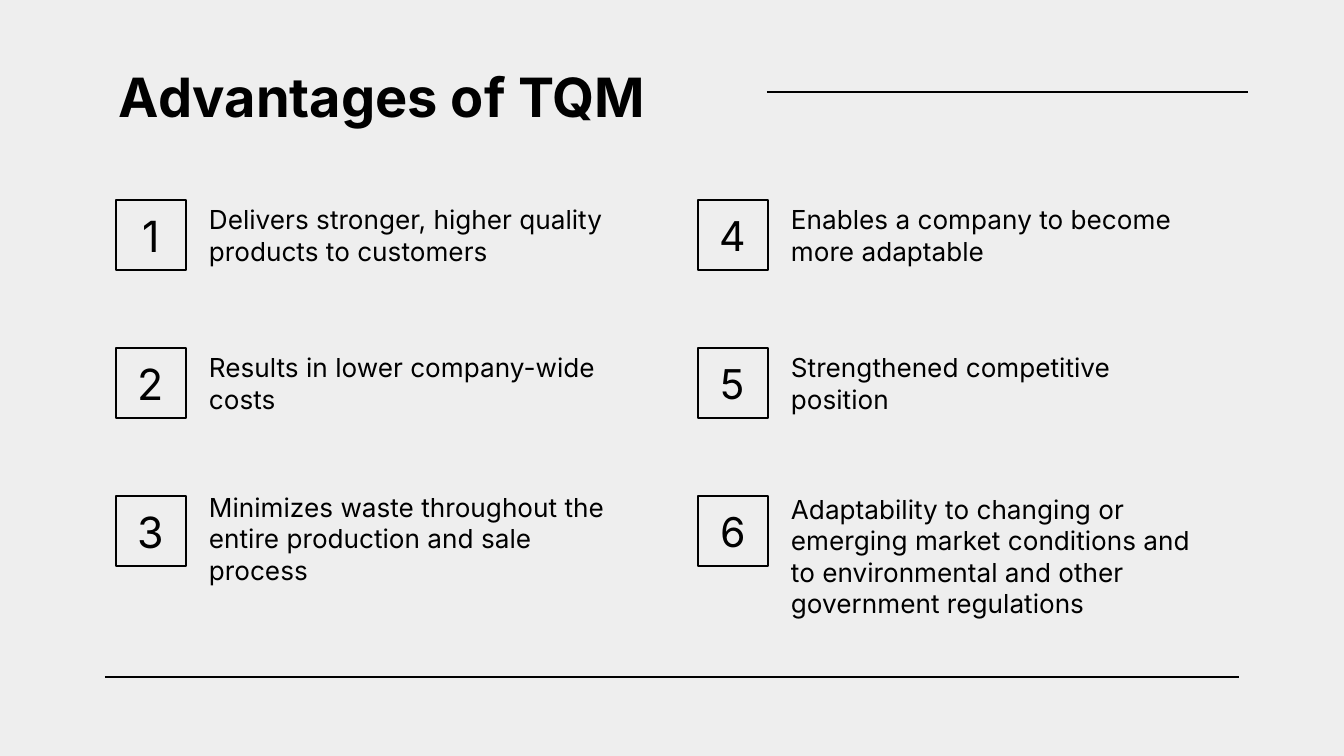
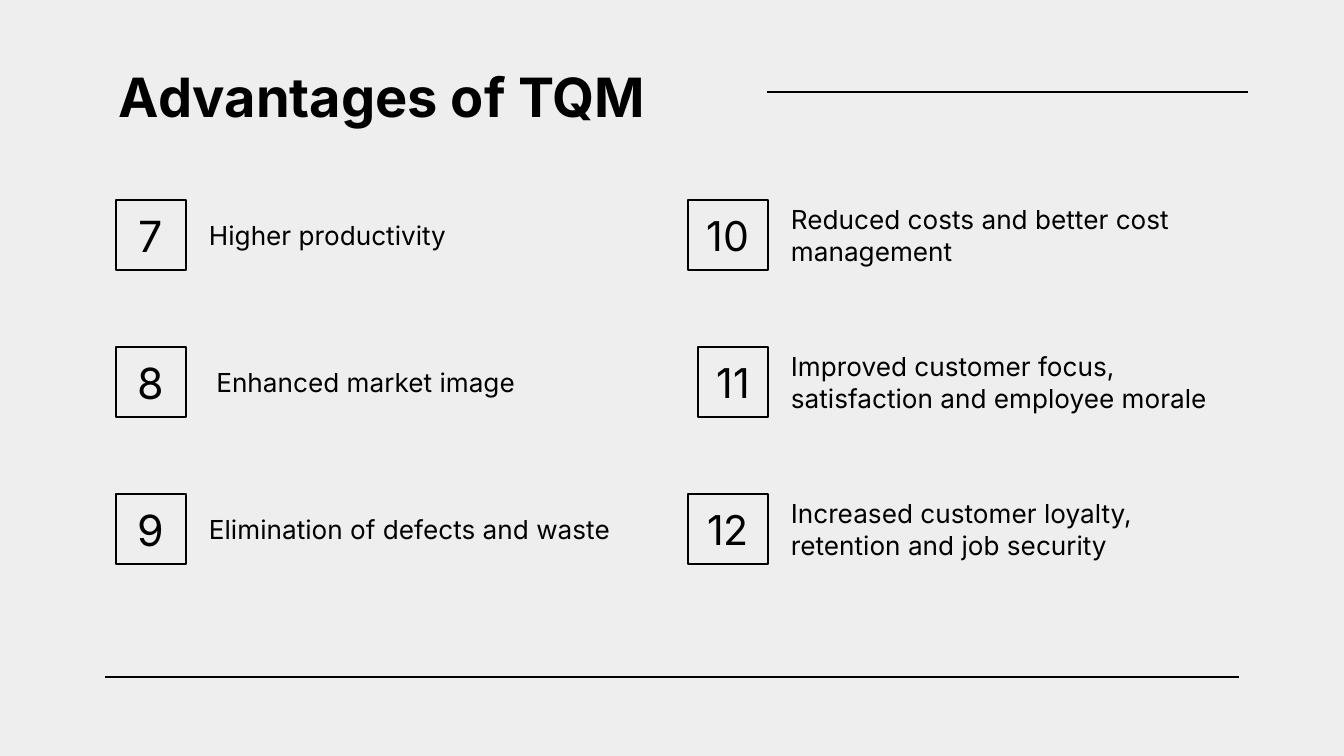
from lxml import etree
from pptx import Presentation
from pptx import util as u
from pptx.dml.color import RGBColor
from pptx.enum import shapes, text
from pptx.oxml.ns import qn

# Content: one tuple per slide of (row step, left column, right column)
TITLE = "Advantages of TQM"
SLIDES = [
    (148,
     [("1", "Delivers stronger, higher quality products to customers"),
      ("2", "Results in lower company-wide costs"),
      ("3", "Minimizes waste throughout the entire production and sale process")],
     [("4", "Enables a company to become more adaptable"),
      ("5", "Strengthened competitive position"),
      ("6", "Adaptability to changing or emerging market conditions and to "
            "environmental and other government regulations")]),
    (147,
     [("7", "Higher productivity"),
      ("8", " Enhanced market image"),
      ("9", "Elimination of defects and waste")],
     [("10", "Reduced costs and better cost management"),
      ("11", "Improved customer focus, satisfaction and employee morale"),
      ("12", "Increased customer loyalty, retention and job security")]),
]

# Shared style
BLACK = RGBColor(0x00, 0x00, 0x00)
PAPER = RGBColor(0xEE, 0xEE, 0xEE)
FONT = "Inter"
LINE_WIDTH = u.Pt(0.75)

# Grid, in px
SLIDE_W, SLIDE_H = 1344, 756
TOP, BOX, INSET = 200, 70, 13
COLUMNS = [(186, 23), (768, 22)]  # right edge of the number boxes, number size
TEXT_GAP, TEXT_W = 10, 450
WIDE_BOXES = {"10": 80, "12": 80}
TALL_TEXTS = {"3": 85, "6": 120}


def px(n):
    return u.Emu(round(n * 914400 / 134.4))


def add_line(s, x1, x2, y):
    line = s.shapes.add_connector(shapes.MSO_CONNECTOR.STRAIGHT,
                                  px(x1), px(y), px(x2), px(y))
    line.line.color.rgb = BLACK
    line.line.width = LINE_WIDTH
    etree.SubElement(line._element.spPr, qn("a:effectLst"))


def set_text(sp, words, size, bold=False, align=text.PP_ALIGN.LEFT,
             anchor=text.MSO_ANCHOR.MIDDLE):
    tf = sp.text_frame
    tf.word_wrap = True
    tf.vertical_anchor = anchor
    tf.margin_left = tf.margin_right = tf.margin_top = tf.margin_bottom = px(INSET)
    p = tf.paragraphs[0]
    p.text = words
    p.alignment = align
    p.font.name = FONT
    p.font.size = u.Pt(size)
    p.font.bold = bold
    p.font.color.rgb = BLACK


def add_text(s, x, y, w, h, words, size, **style):
    sp = s.shapes.add_textbox(px(x), px(y), px(w), px(h))
    set_text(sp, words, size, **style)


def add_number(s, right, y, number, size):
    w = WIDE_BOXES.get(number, BOX)
    sp = s.shapes.add_shape(shapes.MSO_SHAPE.RECTANGLE,
                            px(right - w), px(y), px(w), px(BOX))
    sp.shadow.inherit = False
    sp.fill.background()
    sp.line.color.rgb = BLACK
    sp.line.width = LINE_WIDTH
    set_text(sp, number, size, align=text.PP_ALIGN.CENTER)


def add_frame(s):
    """Background, title and the two rules that every slide has."""
    s.background.fill.solid()
    s.background.fill.fore_color.rgb = PAPER
    add_line(s, 105, 1239, 677)
    add_line(s, 767, 1248, 92)
    add_text(s, 106, 50, 1133, 84, TITLE, 29, bold=True,
             anchor=text.MSO_ANCHOR.TOP)


def main():
    prs = Presentation()
    prs.slide_width, prs.slide_height = px(SLIDE_W), px(SLIDE_H)
    for step, *columns in SLIDES:
        s = prs.slides.add_slide(prs.slide_layouts[6])
        add_frame(s)
        # Numbered advantages, two columns of three
        for (right, size), items in zip(COLUMNS, columns):
            for row, (number, words) in enumerate(items):
                y = TOP + row * step
                add_number(s, right, y, number, size)
                add_text(s, right + TEXT_GAP, y, TEXT_W,
                         TALL_TEXTS.get(number, BOX), words, 14)
    prs.save("out.pptx")


if __name__ == "__main__":
    main()
